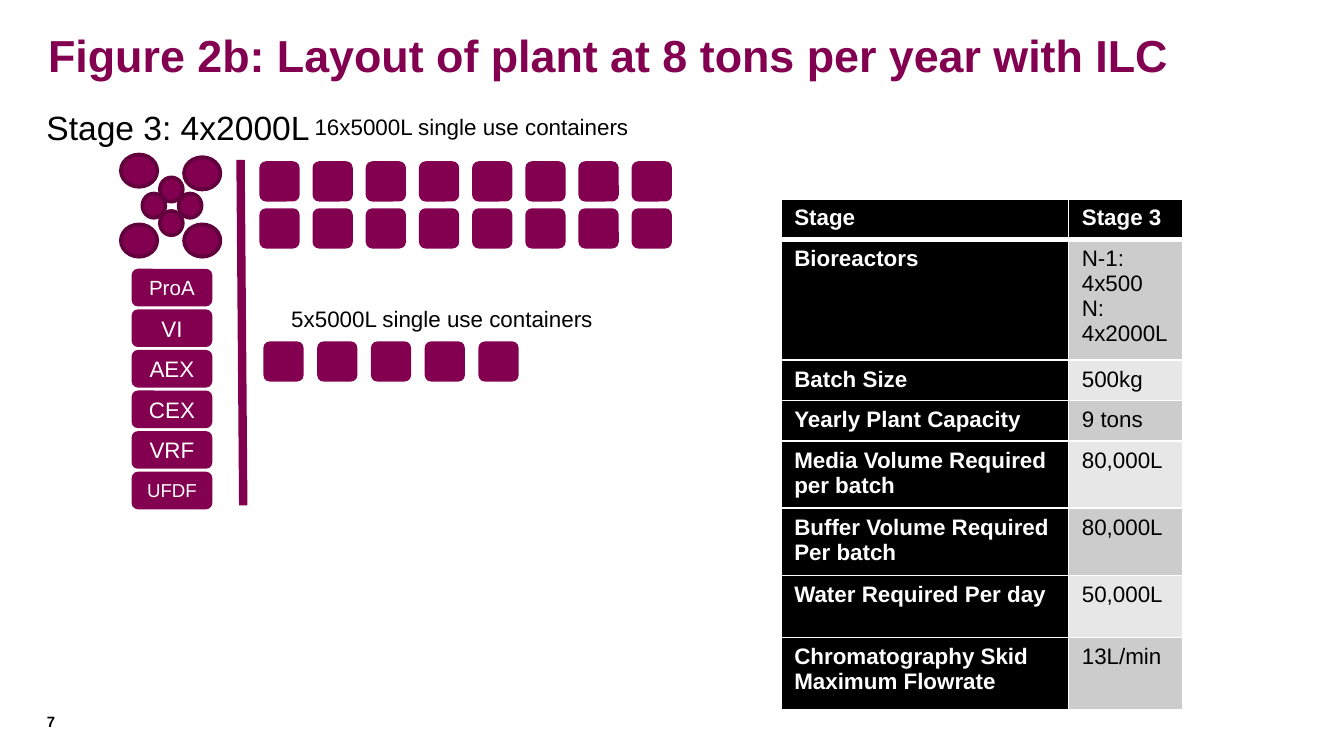
"""Build the slide showing the plant layout at 8 tons per year."""
from lxml import etree
from pptx import Presentation
from pptx.dml.color import RGBColor
from pptx.enum import shapes as sh, text as tx
from pptx.oxml import ns
from pptx.util import Inches, Pt

PLUM = RGBColor(0x83, 0x00, 0x51)
EDGE = RGBColor(0x61, 0x00, 0x3C)
WALL = RGBColor(0x80, 0x00, 0x4F)
BLACK = RGBColor(0, 0, 0)
WHITE = RGBColor(255, 255, 255)
GREY = RGBColor(0xCC, 0xCC, 0xCC)
PALE = RGBColor(0xE7, 0xE7, 0xE7)
MID = tx.PP_ALIGN.CENTER
BOX = sh.MSO_SHAPE.ROUNDED_RECTANGLE
OVAL = sh.MSO_SHAPE.OVAL

TITLE = "Figure 2b: Layout of plant at 8 tons per year with ILC"
LABELS = [
    ("Stage 3: 4x2000L", (0.15, 0.75, 2.35, 0.4), 18),
    ("16x5000L single use containers", (2.08, 0.79, 2.86, 0.3), 12),
    ("5x5000L single use containers", (1.86, 2.22, 2.86, 0.3), 12),
]
STEPS = [("ProA", 11), ("VI", 12), ("AEX", 12), ("CEX", 12), ("VRF", 12), ("UFDF", 10)]
TANKS = [(1.93, 4.7, 1.2, 8), (1.93, 4.7, 1.55, 8), (1.96, 3.56, 2.54, 5)]
LARGE = [(0.9, 1.15), (1.37, 1.17), (1.37, 1.67), (0.9, 1.67)]
SMALL = [(1.19, 1.32), (1.33, 1.44), (1.06, 1.44), (1.19, 1.57)]
ROWS = [
    ("Stage", "Stage 3", 0.3),
    ("Bioreactors", "N-1: 4x500\nN: 4x2000L", 0.9),
    ("Batch Size", "500kg", 0.3),
    ("Yearly Plant Capacity", "9 tons", 0.3),
    ("Media Volume Required per batch", "80,000L", 0.5),
    ("Buffer Volume Required Per batch", "80,000L", 0.5),
    ("Water Required Per day", "50,000L", 0.46),
    ("Chromatography Skid Maximum Flowrate", "13L/min", 0.54),
]
COLS = [2.14, 0.85]


def write(frame, words, size=12, color=BLACK, bold=False, align=tx.PP_ALIGN.LEFT):
    frame.word_wrap = True
    frame.text = words
    for para in frame.paragraphs:
        para.alignment = align
        font = para.font
        font.name, font.size, font.bold = "Arial", Pt(size), bold
        font.color.rgb = color


def label(slide, words, spot, **form):
    frame = slide.shapes.add_textbox(*map(Inches, spot)).text_frame
    write(frame, words, **form)
    return frame


def trim(frame):
    frame.margin_left = frame.margin_right = 0
    frame.margin_top = frame.margin_bottom = 0


def spread(first, last, count):
    return [first + i * (last - first) / (count - 1) for i in range(count)]


def block(slide, kind, spot, edge=None):
    item = slide.shapes.add_shape(kind, *map(Inches, spot))
    item.shadow.inherit = False
    item.fill.solid()
    item.fill.fore_color.rgb = PLUM
    if edge:
        item.line.color.rgb = edge
        item.line.width = Pt(2)
    else:
        item.line.fill.background()
    return item


def border(cell, head):
    props = cell._tc.get_or_add_tcPr()
    for side in "LRTB":
        width = Pt(3 if head and side == "B" else 1)
        line = etree.SubElement(props, ns.qn("a:ln" + side), w=str(width))
        fill = etree.SubElement(line, ns.qn("a:solidFill"))
        etree.SubElement(fill, ns.qn("a:srgbClr"), val=str(WHITE))


def grid(slide):
    spot = (5.81, 1.48, sum(COLS), sum(row[2] for row in ROWS))
    table = slide.shapes.add_table(len(ROWS), len(COLS), *map(Inches, spot)).table
    for col, width in zip(table.columns, COLS):
        col.width = Inches(width)
    for r, (*words, high) in enumerate(ROWS):
        table.rows[r].height = Inches(high)
        for c, word in enumerate(words):
            cell = table.cell(r, c)
            dark = r == 0 or c == 0
            border(cell, r == 0)
            cell.fill.solid()
            cell.fill.fore_color.rgb = BLACK if dark else GREY if r % 2 else PALE
            write(cell.text_frame, word, color=WHITE if dark else BLACK, bold=dark)


def main():
    deck = Presentation()
    deck.slide_width = Inches(10)
    deck.slide_height = deck.slide_width * 9 // 16
    slide = deck.slides.add_slide(deck.slide_layouts[6])

    trim(label(slide, "7", (0.35, 5.3, 0.43, 0.18), size=8, bold=True))
    label(slide, TITLE, (0.26, 0.16, 9.59, 0.55), size=24, color=PLUM, bold=True)
    for words, spot, size in LABELS:
        label(slide, words, spot, size=size, align=MID)

    for (name, size), top in zip(STEPS, spread(2, 3.51, len(STEPS))):
        frame = block(slide, BOX, (0.98, top, 0.6, 0.28)).text_frame
        trim(frame)
        frame.vertical_anchor = tx.MSO_ANCHOR.MIDDLE
        write(frame, name, size=size, color=WHITE, align=MID)
    for spots, size in [(LARGE, (0.27, 0.24)), (SMALL, (0.17, 0.18))]:
        for spot in spots:
            block(slide, OVAL, spot + size, edge=EDGE)
    for first, last, top, count in TANKS:
        for left in spread(first, last, count):
            block(slide, BOX, (left, top, 0.3, 0.3))

    ends = map(Inches, (1.79, 1.19, 1.81, 3.76))
    wall = slide.shapes.add_connector(sh.MSO_CONNECTOR.STRAIGHT, *ends)
    wall.line.color.rgb = WALL
    wall.line.width = Pt(4.5)
    etree.SubElement(wall._element.spPr, ns.qn("a:effectLst"))

    grid(slide)
    deck.save("out.pptx")


if __name__ == "__main__":
    main()
